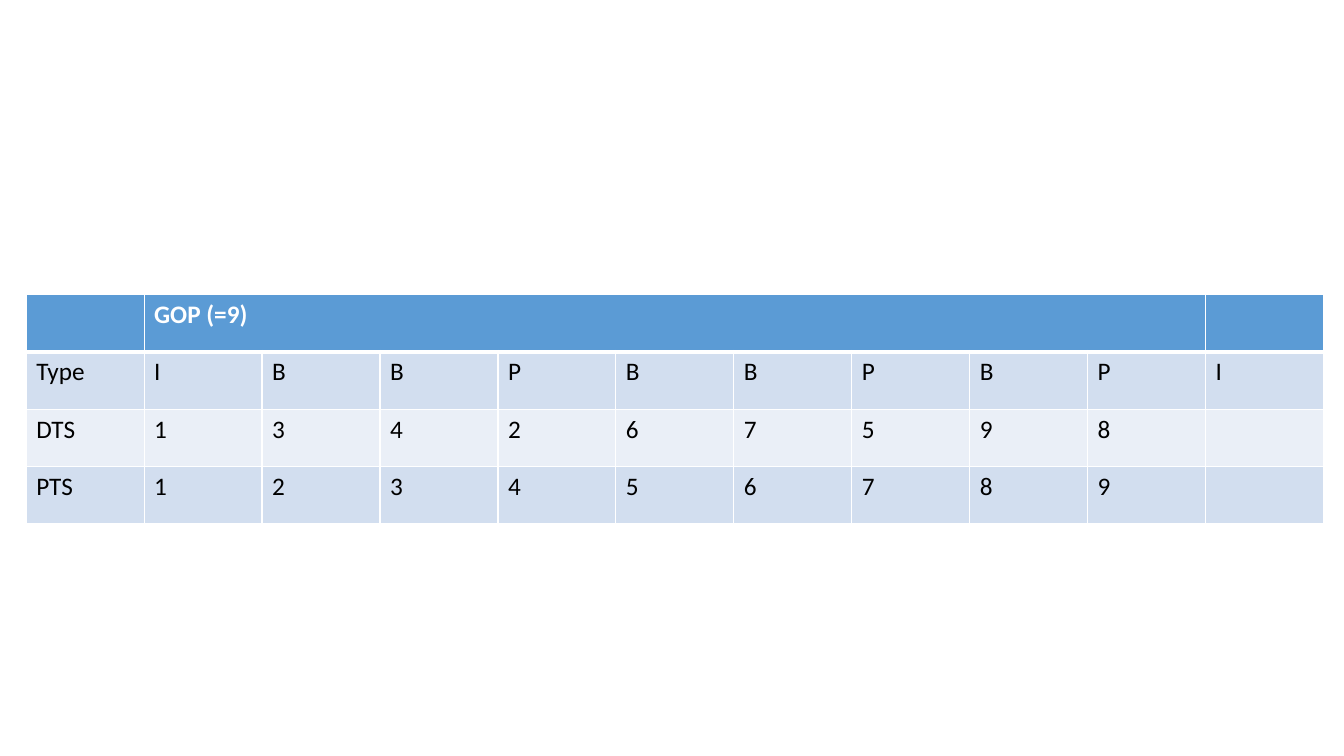
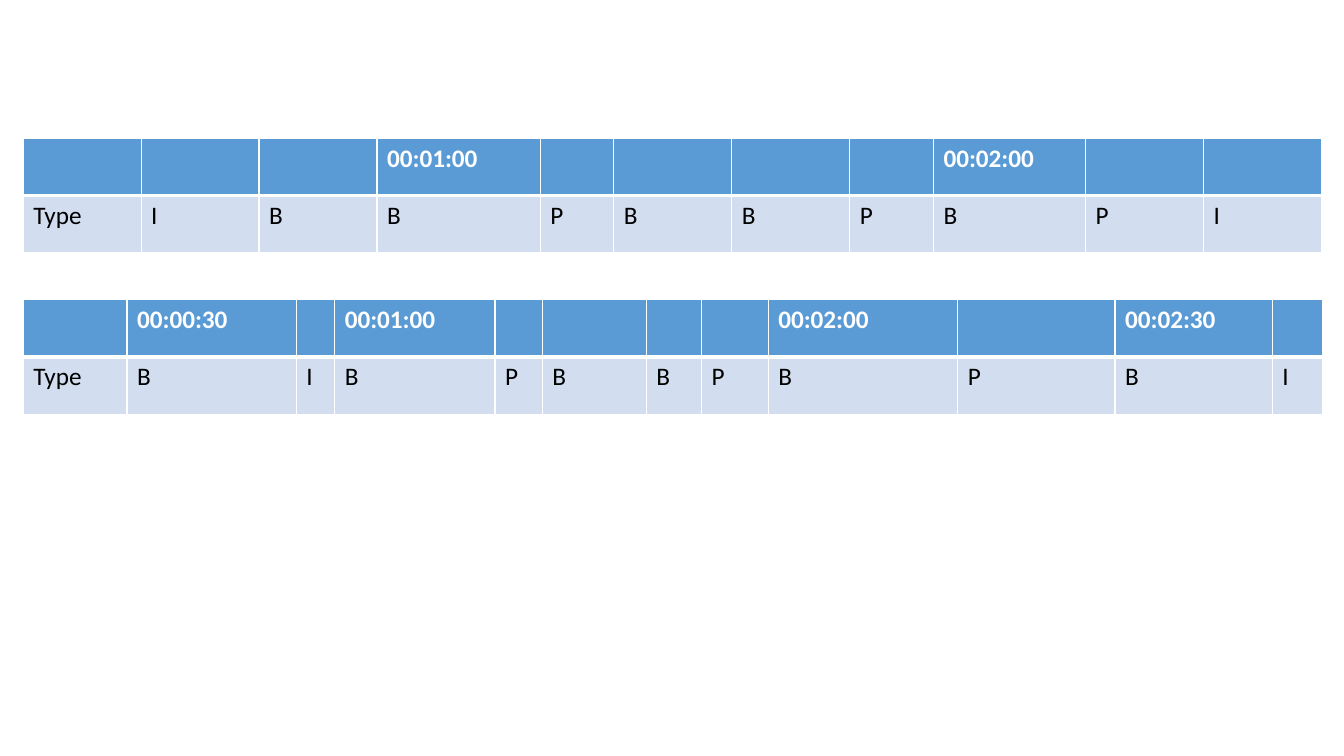
from dataclasses import dataclass

from lxml.etree import SubElement
from pptx import Presentation
from pptx.dml.color import RGBColor as Rgb
from pptx.oxml.ns import qn
from pptx.util import Inches, Pt


@dataclass(frozen=True)
class Theme:
    font: str = "Calibri"
    text_size: float = 18
    header_fill: str = "5B9BD5"
    band_fills: tuple = ("D2DEEF", "EAEFF7")
    header_text: str = "FFFFFF"
    body_text: str = "000000"
    rule: str = "FFFFFF"
    thin: float = 1
    thick: float = 3
    row_height: float = 0.57
    column_width: float = 1.17


THEME = Theme()


def add_borders(cell, row):
    """Thin white rules, with a thick one under the header row."""
    widths = {
        "lnL": THEME.thin,
        "lnR": THEME.thin,
        "lnT": THEME.thick if row == 1 else THEME.thin,
        "lnB": THEME.thick if row == 0 else THEME.thin,
    }
    properties = cell._tc.get_or_add_tcPr()
    for side, width in widths.items():
        line = SubElement(properties, qn(f"a:{side}"), w=str(Pt(width)))
        fill = SubElement(line, qn("a:solidFill"))
        SubElement(fill, qn("a:srgbClr"), val=THEME.rule)


def format_cell(cell, row, text):
    is_header = row == 0
    add_borders(cell, row)
    band = THEME.band_fills[(row - 1) % len(THEME.band_fills)]
    cell.fill.solid()
    cell.fill.fore_color.rgb = Rgb.from_string(THEME.header_fill if is_header else band)

    paragraph = cell.text_frame.paragraphs[0]
    if text:
        paragraph.text = text
    font_format = {"name": THEME.font, "size": Pt(THEME.text_size), "bold": is_header}
    for attribute, value in font_format.items():
        setattr(paragraph.font, attribute, value)
    color = THEME.header_text if is_header else THEME.body_text
    paragraph.font.color.rgb = Rgb.from_string(color)


def add_frame_table(slide, left, top, widths, header, body):
    """Place a table; header maps column numbers to their captions."""
    rows = [[header.get(column, "") for column in range(len(widths))], *body]
    table = slide.shapes.add_table(
        len(rows), len(widths), Inches(left), Inches(top),
        Inches(sum(widths)), Inches(THEME.row_height * len(rows)),
    ).table
    table.horz_banding = False
    for column, width in zip(table.columns, widths):
        column.width = Inches(width)
    for row, texts in enumerate(rows):
        table.rows[row].height = Inches(THEME.row_height)
        for column, text in enumerate(texts):
            format_cell(table.cell(row, column), row, text)
    return table


def build_gop_slide(slide):
    frames = [
        ["Type", *"IBBPBBPBPI"],
        ["DTS", *"134267598", ""],
        ["PTS", *"123456789", ""],
    ]
    gop = add_frame_table(
        slide, 0.26, 2.92, [THEME.column_width] * 11, {1: "GOP (=9)"}, frames
    )
    gop.cell(0, 1).merge(gop.cell(0, 9))


def build_timeline_slide(slide):
    regular = THEME.column_width
    left = 0.23

    # Frames with two time marks
    widths = [regular] * 3 + [1.62, 0.73, regular, regular, 0.83, 1.51, regular, regular]
    add_frame_table(
        slide, left, 1.37, widths,
        {3: "00:01:00", 8: "00:02:00"}, [["Type", *"IBBPBBPBPI"]],
    )

    # Frames with four time marks
    widths = [1.03, 1.68, 0.38, 1.59, 0.47, 1.03, 0.55, 0.66, 1.88, 1.56, 1.56, 0.5]
    add_frame_table(
        slide, left, 2.97, widths,
        {1: "00:00:30", 3: "00:01:00", 8: "00:02:00", 10: "00:02:30"},
        [["Type", *"BIBPBBPBPBI"]],
    )


def main():
    deck = Presentation()
    deck.slide_width, deck.slide_height = Inches(13.33), Inches(7.5)
    blank_layout = deck.slide_layouts[6]
    for build in (build_gop_slide, build_timeline_slide):
        build(deck.slides.add_slide(blank_layout))
    deck.save("out.pptx")


if __name__ == "__main__":
    main()
